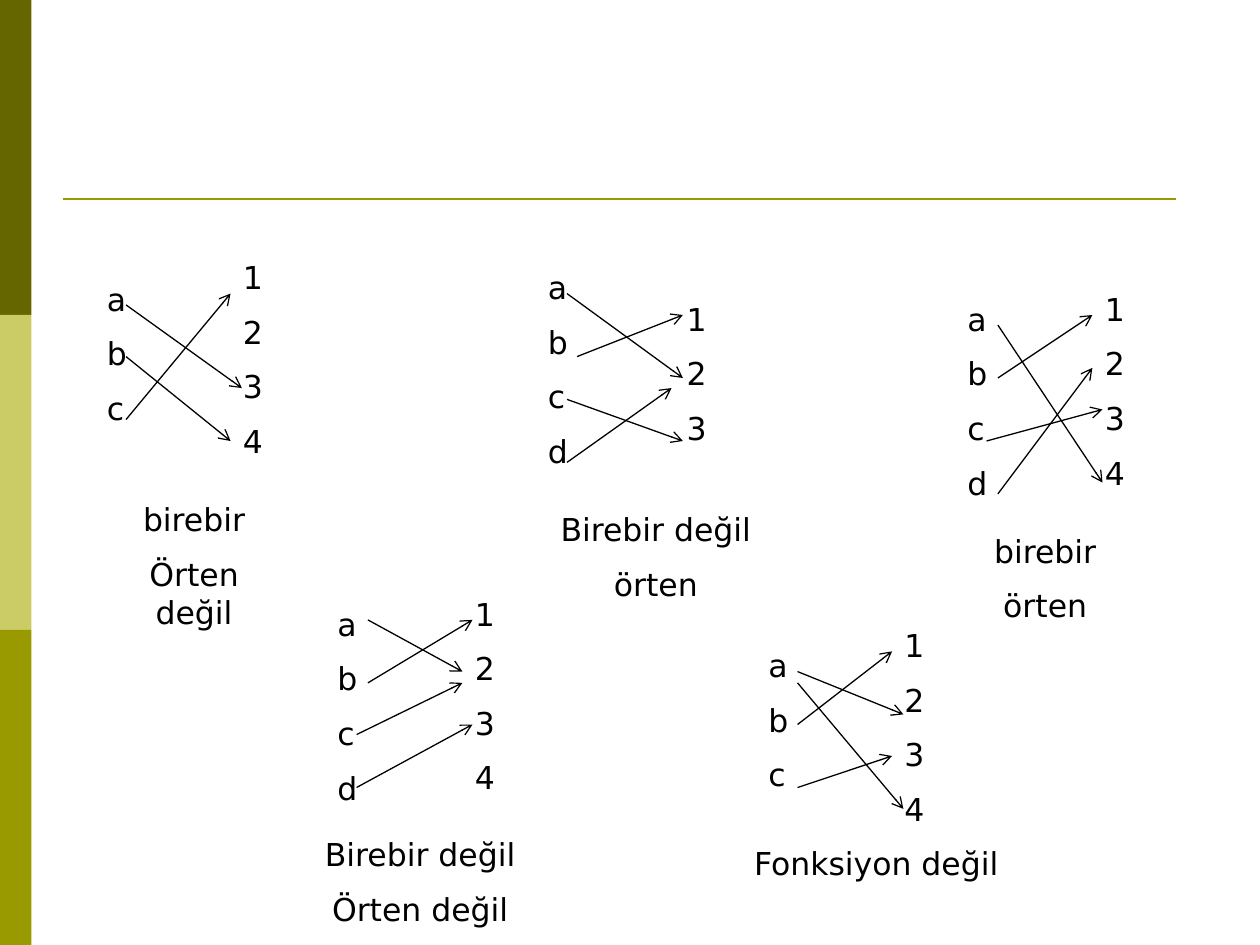
from lxml import etree
from pptx import Presentation
from pptx import util as u
from pptx.dml.color import RGBColor
from pptx.enum import shapes, text
from pptx.oxml.ns import qn

FONT = "DejaVu Sans"
BLACK, OLIVE = "000000", "999900"
SIDE_BANDS = ["666600", "CCCC66", OLIVE]
BAND_WIDTH, BAND_HEIGHT = 0.25, 2.5
LABEL_WIDTH = 0.42
HEIGHTS = {1: 0.4, 2: 0.85, 3: 1.3, 4: 1.76}

# Each set: its elements and left, top; each arrow: start x, y, end x, y
MAPPINGS = [
    {"domain": ("abc", 0.75, 2.17), "range": ("1234", 1.83, 2),
     "arrows": [(1, 2.42, 1.92, 3.08), (1, 2.83, 1.83, 3.5), (1, 3.33, 1.83, 2.33)],
     "caption": (["birebir", "Örten değil"], 0.75, 3.92, 1.58)},
    {"domain": ("abcd", 4.25, 2.08), "range": ("123", 5.35, 2.33),
     "arrows": [(4.5, 2.33, 5.42, 3), (4.5, 3.17, 5.42, 3.5),
                (4.58, 2.83, 5.42, 2.5), (4.5, 3.67, 5.33, 3.08)],
     "caption": (["Birebir değil", "örten"], 4.08, 4, 2.25)},
    {"domain": ("abcd", 7.58, 2.33), "range": ("1234", 8.67, 2.25),
     "arrows": [(7.92, 2.58, 8.75, 3.83), (7.92, 3, 8.67, 2.5),
                (7.83, 3.5, 8.75, 3.25), (7.92, 3.92, 8.67, 2.92)],
     "caption": (["birebir", "örten"], 7.17, 4.17, 2.25)},
    {"domain": ("abcd", 2.58, 4.75), "range": ("1234", 3.67, 4.67),
     "arrows": [(2.92, 4.92, 3.67, 5.33), (2.92, 5.42, 3.75, 4.92),
                (2.83, 5.83, 3.67, 5.42), (2.83, 6.25, 3.75, 5.75)],
     "caption": (["Birebir değil", "Örten değil"], 1.92, 6.58, 2.83)},
    {"domain": ("abc", 6, 5.08), "range": ("1234", 7.08, 4.92),
     "arrows": [(6.33, 5.33, 7.17, 5.67), (6.33, 5.42, 7.17, 6.42),
                (6.33, 5.75, 7.08, 5.17), (6.33, 6.25, 7.08, 6)],
     "caption": (["Fonksiyon değil"], 5.83, 6.65, 2.25)},
]


def rgb(color):
    return RGBColor.from_string(color)


def add_lines(parent, lines, left, top, width, align):
    """Add a text box with one spaced paragraph per line."""
    box = parent.add_textbox(*map(u.Inches, (left, top, width, HEIGHTS[len(lines)])))
    frame = box.text_frame
    frame.word_wrap = True
    frame.auto_size = text.MSO_AUTO_SIZE.SHAPE_TO_FIT_TEXT
    for index, line in enumerate(lines):
        paragraph = frame.add_paragraph() if index else frame.paragraphs[0]
        paragraph.alignment = align
        paragraph.space_before = u.Pt(9.6)
        run = paragraph.add_run()
        run.text = line
        run.font.name = FONT
        run.font.size = u.Pt(18)
        run.font.color.rgb = rgb(BLACK)


def add_line(parent, ends, color, weight, arrow=False):
    line = parent.add_connector(shapes.MSO_CONNECTOR.STRAIGHT, *map(u.Inches, ends))
    line.line.color.rgb = rgb(color)
    line.line.width = u.Pt(weight)
    if arrow:
        etree.SubElement(line.line._get_or_add_ln(), qn("a:tailEnd"), type="arrow")
    etree.SubElement(line._element.spPr, qn("a:effectLst"))


def add_mapping(slide, mapping):
    group = slide.shapes.add_group_shape().shapes
    for side in ("domain", "range"):
        elements, left, top = mapping[side]
        add_lines(group, elements, left, top, LABEL_WIDTH, text.PP_ALIGN.LEFT)
    for ends in mapping["arrows"]:
        add_line(group, ends, BLACK, 0.75, arrow=True)
    add_lines(slide.shapes, *mapping["caption"], text.PP_ALIGN.CENTER)


def main():
    deck = Presentation()
    deck.slide_width, deck.slide_height = u.Inches(10), u.Inches(7.5)
    slide = deck.slides.add_slide(deck.slide_layouts[6])
    for index, color in enumerate(SIDE_BANDS):
        band = slide.shapes.add_shape(
            shapes.MSO_SHAPE.RECTANGLE, 0, u.Inches(index * BAND_HEIGHT),
            u.Inches(BAND_WIDTH), u.Inches(BAND_HEIGHT))
        band.shadow.inherit = False
        band.fill.solid()
        band.fill.fore_color.rgb = rgb(color)
        band.line.fill.background()
    add_line(slide.shapes, (0.5, 1.58, 9.33, 1.58), OLIVE, 1.5)
    for mapping in MAPPINGS:
        add_mapping(slide, mapping)
    deck.save("out.pptx")


if __name__ == "__main__":
    main()
